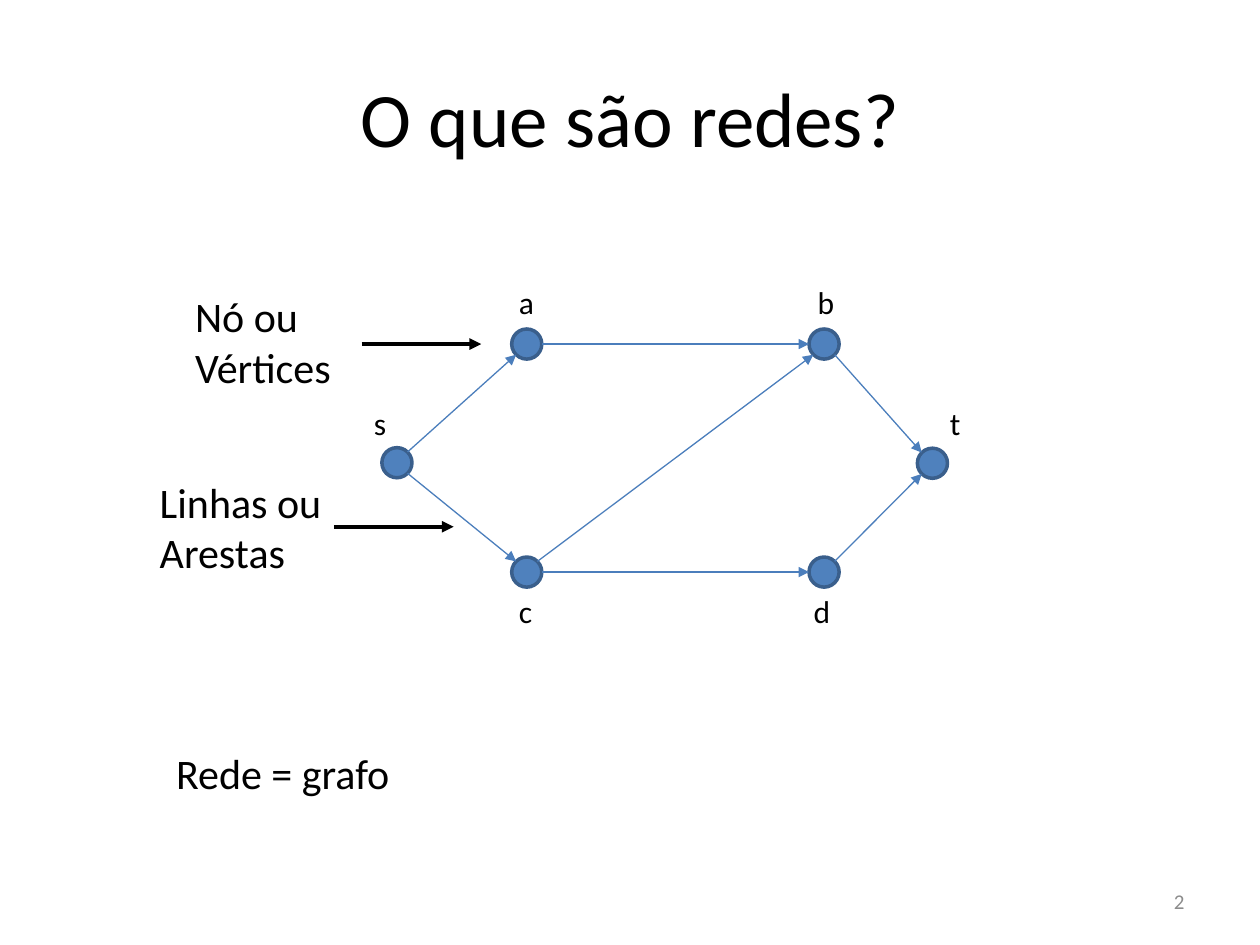
from math import hypot

from lxml.etree import SubElement
from pptx import Presentation
from pptx.dml.color import RGBColor
from pptx.enum.shapes import MSO_CONNECTOR, MSO_SHAPE
from pptx.enum.text import MSO_ANCHOR, PP_ALIGN
from pptx.oxml.ns import qn
from pptx.util import Pt

RADIUS = 8.6
NODES = {
    "a": (301, 196.6),
    "s": (226.8, 264.4),
    "c": (301, 326.9),
    "b": (470.9, 196.6),
    "d": (470.9, 326.9),
    "t": (532.8, 264.7),
}
EDGES = ["sa", "ab", "bt", "cb", "sc", "cd", "dt"]
NODE_LABELS = {
    "s": (206.6, 227.5, 21.6),
    "t": (535.7, 227.5, 20.9),
    "a": (289.4, 158.4, 23),
    "b": (460.1, 158.4, 24.5),
    "c": (289.4, 334.8, 22.3),
    "d": (457.9, 334.8, 24.5),
}


def color(value):
    """Turn a hex string into a colour."""
    return RGBColor.from_string(value)


def add_text(slide, text, box, size, ink="000000", align=PP_ALIGN.LEFT,
             anchor=MSO_ANCHOR.TOP, wrap=True):
    """Add a one-paragraph text box."""
    frame = slide.shapes.add_textbox(*map(Pt, box)).text_frame
    frame.word_wrap = wrap
    frame.vertical_anchor = anchor
    paragraph = frame.paragraphs[0]
    paragraph.alignment = align
    run = paragraph.add_run()
    run.text = text
    run.font.name = "Calibri"
    run.font.size = Pt(size)
    run.font.color.rgb = color(ink)


def add_node(slide, center):
    """Draw one vertex of the graph around its center."""
    x, y = center
    node = slide.shapes.add_shape(
        MSO_SHAPE.OVAL, Pt(x - RADIUS), Pt(y - RADIUS), Pt(2 * RADIUS), Pt(2 * RADIUS))
    node.shadow.inherit = False
    node.fill.solid()
    node.fill.fore_color.rgb = color("4F81BD")
    node.line.color.rgb = color("3A5F8C")
    node.line.width = Pt(2)


def add_arrow(slide, start, end, ink, width):
    """Draw a straight arrow that points at its end."""
    arrow = slide.shapes.add_connector(MSO_CONNECTOR.STRAIGHT, *map(Pt, start + end))
    arrow.line.color.rgb = color(ink)
    arrow.line.width = Pt(width)
    SubElement(arrow.line._get_or_add_ln(), qn("a:tailEnd"), type="triangle")
    SubElement(arrow._element.spPr, qn("a:effectLst"))


def add_edge(slide, source, target):
    """Join two vertices at their facing connection sites."""
    (x1, y1), (x2, y2) = NODES[source], NODES[target]
    side_x = (x2 > x1) - (x2 < x1)
    side_y = (y2 > y1) - (y2 < y1)
    reach = RADIUS / hypot(side_x, side_y)
    dx, dy = side_x * reach, side_y * reach
    add_arrow(slide, (x1 + dx, y1 + dy), (x2 - dx, y2 - dy), "4B7EBC", 0.75)


def main():
    """Build the slide and save it."""
    deck = Presentation()
    deck.slide_width, deck.slide_height = Pt(720), Pt(540)
    slide = deck.slides.add_slide(deck.slide_layouts[6])

    add_text(slide, "O que são redes?", (36, 21.6, 648, 90), 44,
             align=PP_ALIGN.CENTER, anchor=MSO_ANCHOR.MIDDLE)
    for center in NODES.values():
        add_node(slide, center)
    for source, target in EDGES:
        add_edge(slide, source, target)
    for name, (left, top, width) in NODE_LABELS.items():
        add_text(slide, name, (left, top, width, 29), 18, wrap=False)

    for x, y in [(206.6, 196.6), (190.8, 301)]:
        add_arrow(slide, (x, y), (x + 68.4, y), "000000", 2.25)
    add_text(slide, "Nó ou Vértices", (104.4, 162.7, 103, 65.5), 24)
    add_text(slide, "Linhas ou Arestas", (84.2, 268.6, 130.3, 65.5), 24)
    add_text(slide, "Rede = grafo", (93.6, 423.4, 137.5, 36), 24, wrap=False)
    add_text(slide, "2", (516.2, 500.4, 167.8, 28.8), 12, "8C8C8C",
             PP_ALIGN.RIGHT, MSO_ANCHOR.MIDDLE)
    deck.save("out.pptx")


if __name__ == "__main__":
    main()
